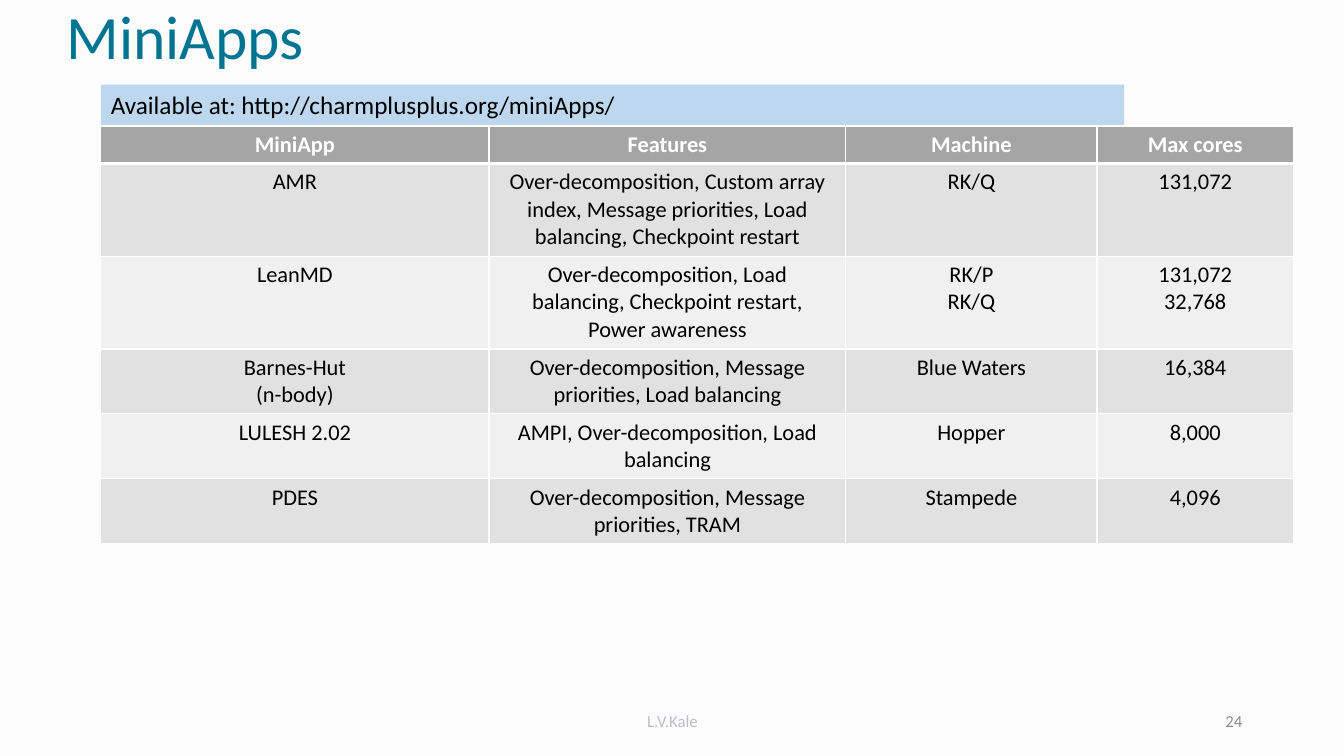
import pptx
import pptx.util
import pptx.dml.color
import pptx.enum.shapes
import pptx.enum.text
import pptx.oxml
import pptx.oxml.ns

Inches = pptx.util.Inches
Pt = pptx.util.Pt
ALIGN = pptx.enum.text.PP_ALIGN
ANCHOR = pptx.enum.text.MSO_ANCHOR

COLORS = {
    "page": "FCFCFC", "title": "007592", "banner": "BDD7EE",
    "head": "A5A5A5", "odd": "E1E1E1", "even": "F0F0F0",
    "white": "FFFFFF", "black": "000000",
    "footer": "B9BEC7", "number": "8C8C8C",
}

WIDTHS = [3.85, 3.54, 2.49, 1.95]
HEIGHTS = [0.37, 0.92, 0.92, 0.64, 0.64, 0.64]
ROWS = [
    ["MiniApp", "Features", "Machine", "Max cores"],
    ["AMR", "Over-decomposition, Custom array index, Message priorities, "
     "Load balancing, Checkpoint restart", "RK/Q", "131,072"],
    ["LeanMD", "Over-decomposition, Load balancing, Checkpoint restart, "
     "Power awareness", "RK/P\nRK/Q", "131,072\n32,768"],
    ["Barnes-Hut\n(n-body)", "Over-decomposition, Message priorities, "
     "Load balancing", "Blue Waters", "16,384"],
    ["LULESH 2.02", "AMPI, Over-decomposition, Load balancing",
     "Hopper", "8,000"],
    ["PDES", "Over-decomposition, Message priorities, TRAM",
     "Stampede", "4,096"],
]


def color(name):
    return pptx.dml.color.RGBColor.from_string(COLORS[name])


def paint(fill, name):
    fill.solid()
    fill.fore_color.rgb = color(name)


def write(frame, text, size, ink, align=ALIGN.LEFT, bold=False, space=1.0):
    frame.text = text
    frame.word_wrap = True
    font = {"name": "Calibri", "size": Pt(size), "bold": bold}
    for para in frame.paragraphs:
        para.alignment = align
        para.line_spacing = space
        for key, value in font.items():
            setattr(para.font, key, value)
        para.font.color.rgb = color(ink)


def label(slide, box, text, size, ink, **style):
    shape = slide.shapes.add_textbox(*map(Inches, box))
    write(shape.text_frame, text, size, ink, **style)
    shape.text_frame.vertical_anchor = ANCHOR.MIDDLE


def banner(slide, box, text):
    shape = slide.shapes.add_shape(
        pptx.enum.shapes.MSO_SHAPE.RECTANGLE, *map(Inches, box))
    shape.shadow.inherit = False
    paint(shape.fill, "banner")
    shape.line.fill.background()
    write(shape.text_frame, text, 18, "black")
    shape.text_frame.vertical_anchor = ANCHOR.TOP


def border(cell, head, below):
    """White rules; the header has a thick one beneath it."""
    props = cell._tc.get_or_add_tcPr()
    points = {"L": 1, "R": 1, "T": 3 if below else 1, "B": 3 if head else 1}
    for spot, (side, width) in enumerate(points.items()):
        props.insert(spot, pptx.oxml.parse_xml(
            f'<a:ln{side} {pptx.oxml.ns.nsdecls("a")} w="{Pt(width)}">'
            f'<a:solidFill><a:srgbClr val="{COLORS["white"]}"/></a:solidFill>'
            f'</a:ln{side}>'))


def grid(slide, left, top):
    frame = slide.shapes.add_table(
        len(ROWS), len(WIDTHS), Inches(left), Inches(top),
        Inches(sum(WIDTHS)), Inches(sum(HEIGHTS)))
    table = frame.table
    for column, width in zip(table.columns, WIDTHS):
        column.width = Inches(width)
    for row, height in zip(table.rows, HEIGHTS):
        row.height = Inches(height)
    format = {"margin_left": Inches(0.13), "margin_right": Inches(0.13),
              "margin_top": Inches(0.05), "margin_bottom": Inches(0.05)}
    for r, texts in enumerate(ROWS):
        head = r == 0
        tone = "head" if head else "odd" if r % 2 else "even"
        for c, text in enumerate(texts):
            cell = table.cell(r, c)
            for key, value in format.items():
                setattr(cell, key, value)
            write(cell.text_frame, text, 16, "white" if head else "black",
                  align=ALIGN.CENTER, bold=head)
            paint(cell.fill, tone)
            border(cell, head, r == 1)


def main():
    deck = pptx.Presentation()
    deck.slide_width, deck.slide_height = Inches(13.33), Inches(7.5)
    slide = deck.slides.add_slide(deck.slide_layouts[6])
    paint(slide.background.fill, "page")

    # Table of apps
    grid(slide, 1, 1.25)

    # Title and web address
    label(slide, (0.56, -0.03, 11.5, 0.84), "MiniApps", 44, "title", space=0.9)
    banner(slide, (1, 0.84, 10.15, 0.4),
           "Available at: http://charmplusplus.org/miniApps/")

    # Footer
    label(slide, (4.42, 6.95, 4.5, 0.4), "L.V.Kale", 12, "footer",
          align=ALIGN.CENTER)
    label(slide, (9.42, 6.95, 3, 0.4), "24", 12, "number", align=ALIGN.RIGHT)

    deck.save("out.pptx")


if __name__ == "__main__":
    main()
